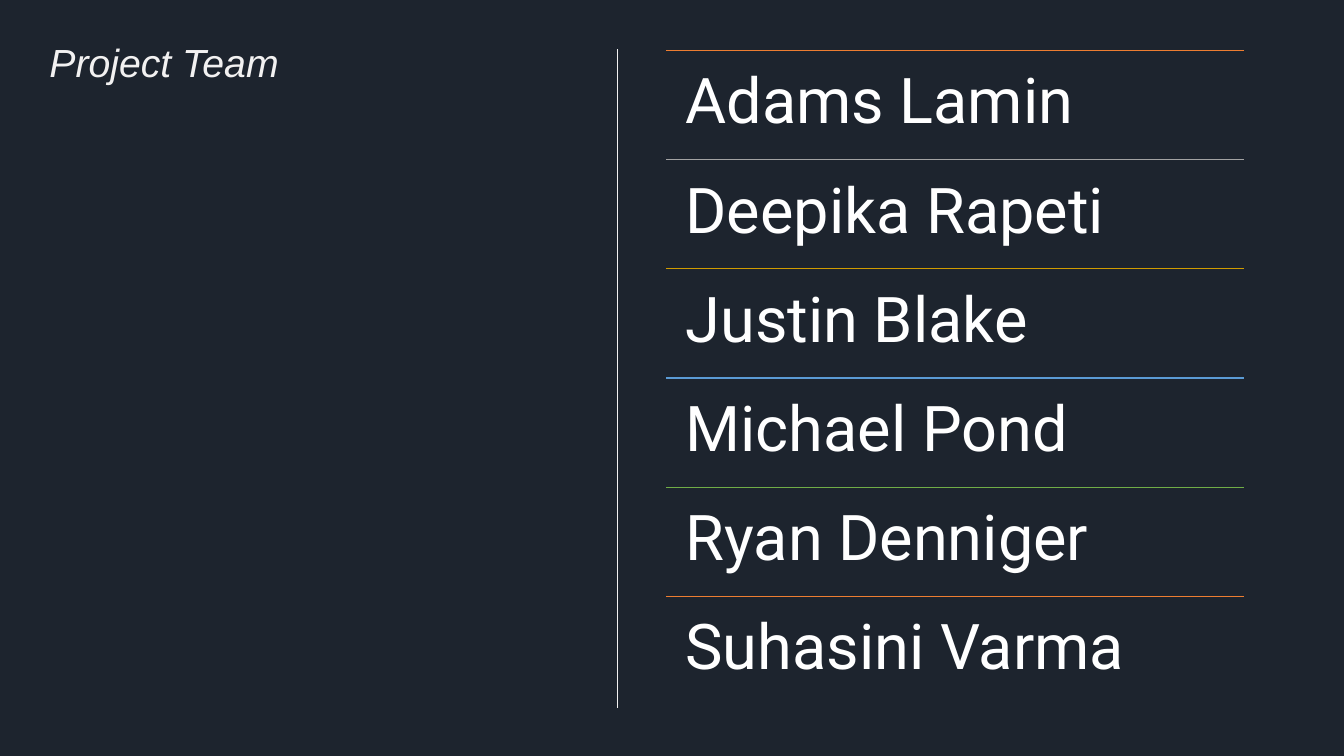
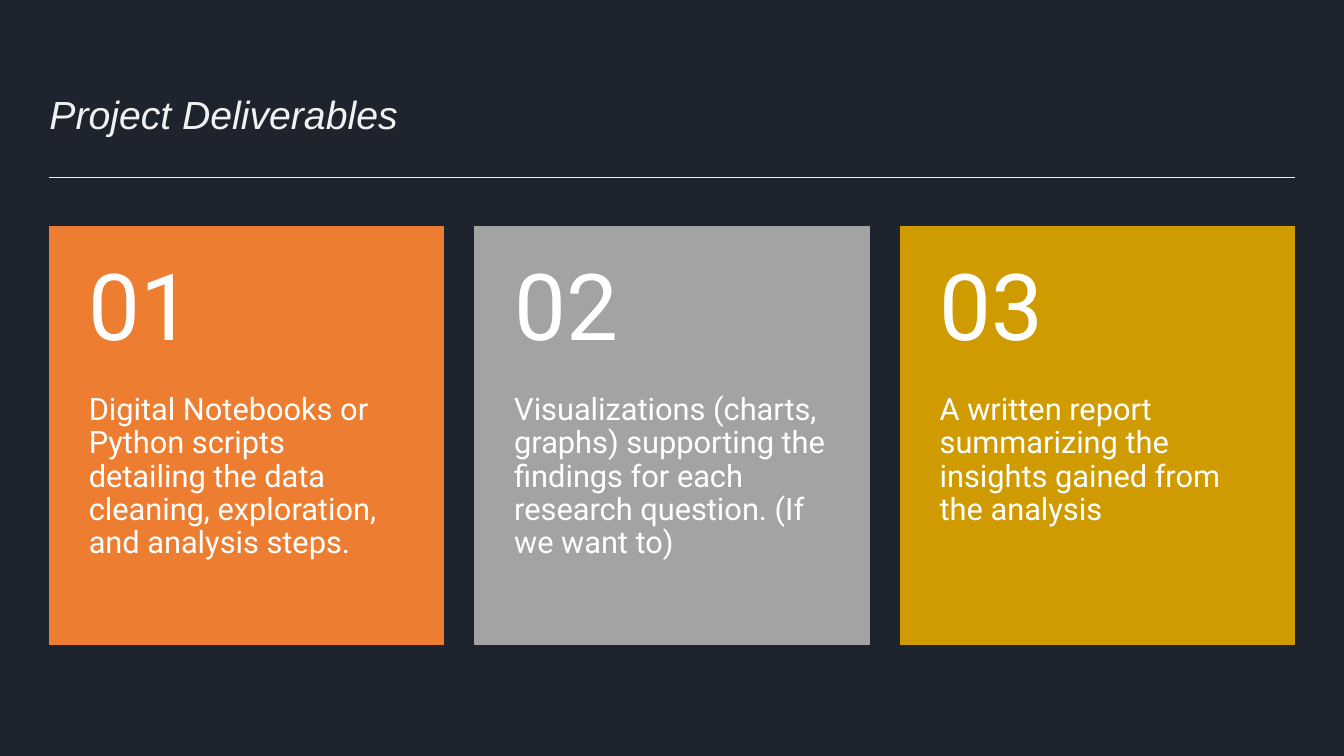
"""Build the project team and project deliverables slides."""
from dataclasses import dataclass

from lxml.etree import SubElement
from pptx import Presentation
from pptx.dml.color import RGBColor
from pptx.enum.shapes import MSO_CONNECTOR, MSO_SHAPE
from pptx.enum.text import MSO_ANCHOR, MSO_AUTO_SIZE, PP_ALIGN
from pptx.oxml.ns import qn
from pptx.slide import Slide
from pptx.text.text import TextFrame
from pptx.util import Inches, Pt

NAVY, PALE, WHITE = "1D242E", "F2F1F1", "FFFFFF"
ORANGE, GRAY, GOLD, BLUE, GREEN = "ED7D31", "A3A3A3", "CF9B00", "5B9BD5", "70AD47"
MARGIN = 0.49
TITLE_FONT = {"name": "Arial", "size": Pt(28), "italic": True}
NAME_FONT = {"name": "Roboto", "size": Pt(45)}
NUMBER_FONT = {"name": "Roboto", "size": Pt(66)}
BODY_FONT = {"name": "Roboto", "size": Pt(22)}


@dataclass(frozen=True)
class Box:
    left: float
    top: float
    width: float
    height: float

    def emu(self) -> list[int]:
        return [Inches(v) for v in (self.left, self.top, self.width, self.height)]


@dataclass(frozen=True)
class Member:
    name: str
    color: str


@dataclass(frozen=True)
class Card:
    number: str
    text: str
    color: str


MEMBERS = [
    Member("Adams Lamin", ORANGE),
    Member("Deepika Rapeti", GRAY),
    Member("Justin Blake", GOLD),
    Member("Michael Pond", BLUE),
    Member("Ryan Denniger", GREEN),
    Member("Suhasini Varma", ORANGE),
]
CARDS = [
    Card("01", "Digital Notebooks or Python scripts detailing the data cleaning, "
         "exploration, and analysis steps.", ORANGE),
    Card("02", "Visualizations (charts, graphs) supporting the findings for each "
         "research question. (If we want to)", GRAY),
    Card("03", "A written report summarizing the insights gained from the analysis", GOLD),
]


def rgb(color: str) -> RGBColor:
    return RGBColor.from_string(color)


def write(tf: TextFrame, text: str, font: dict, color: str,
          insets: tuple = (0, 0, 0, 0), anchor: MSO_ANCHOR = MSO_ANCHOR.TOP) -> None:
    left, top, right, bottom = (Inches(v) for v in insets)
    frame = {"word_wrap": True, "auto_size": MSO_AUTO_SIZE.NONE,
             "vertical_anchor": anchor, "margin_left": left, "margin_top": top,
             "margin_right": right, "margin_bottom": bottom}
    p = tf.paragraphs[0]
    p.alignment, p.line_spacing = PP_ALIGN.LEFT, 0.9
    r = p.add_run()
    r.text = text
    for target, values in ((tf, frame), (r.font, font)):
        for key, value in values.items():
            setattr(target, key, value)
    r.font.color.rgb = rgb(color)


def add_text(s: Slide, box: Box, text: str, font: dict, insets: tuple,
             anchor: MSO_ANCHOR = MSO_ANCHOR.TOP) -> None:
    sp = s.shapes.add_textbox(*box.emu())
    write(sp.text_frame, text, font, WHITE, insets, anchor)


def add_line(s: Slide, x1: float, y1: float, x2: float, y2: float,
             color: str, width: float = 0.75) -> None:
    ends = [Inches(v) for v in (x1, y1, x2, y2)]
    cxn = s.shapes.add_connector(MSO_CONNECTOR.STRAIGHT, *ends)
    cxn.line.color.rgb = rgb(color)
    cxn.line.width = Pt(width)
    SubElement(cxn._element.spPr, qn("a:effectLst"))


def add_panel(s: Slide, box: Box, color: str) -> None:
    sp = s.shapes.add_shape(MSO_SHAPE.RECTANGLE, *box.emu())
    sp.shadow.inherit = False
    sp.fill.solid()
    sp.fill.fore_color.rgb = sp.line.color.rgb = rgb(color)
    sp.line.width = Pt(0.75)


def add_slide(prs: Presentation, title: str, box: Box, anchor: MSO_ANCHOR) -> Slide:
    s = prs.slides.add_slide(prs.slide_layouts[5])
    sp = s.shapes.title
    sp.left, sp.top, sp.width, sp.height = box.emu()
    write(sp.text_frame, title, TITLE_FONT, PALE, anchor=anchor)
    return s


def build_team(prs: Presentation) -> None:
    s = add_slide(prs, "Project Team", Box(MARGIN, 0.43, 5.13, 6.52), MSO_ANCHOR.TOP)
    add_line(s, 6.12, MARGIN, 6.12, 7.02, PALE)
    left, top, width, pitch = 6.61, 0.5, 5.73, 6.5 / len(MEMBERS)
    for i, member in enumerate(MEMBERS):
        y = top + i * pitch
        add_line(s, left, y, left + width, y, member.color)
        add_text(s, Box(left, y, width, pitch), member.name, NAME_FONT, (0.19,) * 4)


def build_deliverables(prs: Presentation) -> None:
    s = add_slide(prs, "Project Deliverables", Box(MARGIN, 0.43, 12.36, 0.94),
                  MSO_ANCHOR.BOTTOM)
    add_line(s, MARGIN, 1.76, 12.84, 1.76, PALE, 0.5)
    top, width, height, gap, head = 2.25, 3.91, 4.14, 0.31, 1.66
    for i, card in enumerate(CARDS):
        x = MARGIN + i * (width + gap)
        add_panel(s, Box(x, top, width, height), card.color)
        add_text(s, Box(x, top + head, width, height - head), card.text, BODY_FONT,
                 (0.39, 0, 0.39, 0.36))
        add_text(s, Box(x, top, width, head), card.number, NUMBER_FONT,
                 (0.39, 0.18, 0.39, 0.18), MSO_ANCHOR.MIDDLE)


def main() -> None:
    prs = Presentation()
    prs.slide_width, prs.slide_height = Inches(13.33), Inches(7.5)
    fill = prs.slide_master.background.fill
    fill.solid()
    fill.fore_color.rgb = rgb(NAVY)
    build_team(prs)
    build_deliverables(prs)
    prs.save("out.pptx")


if __name__ == "__main__":
    main()
